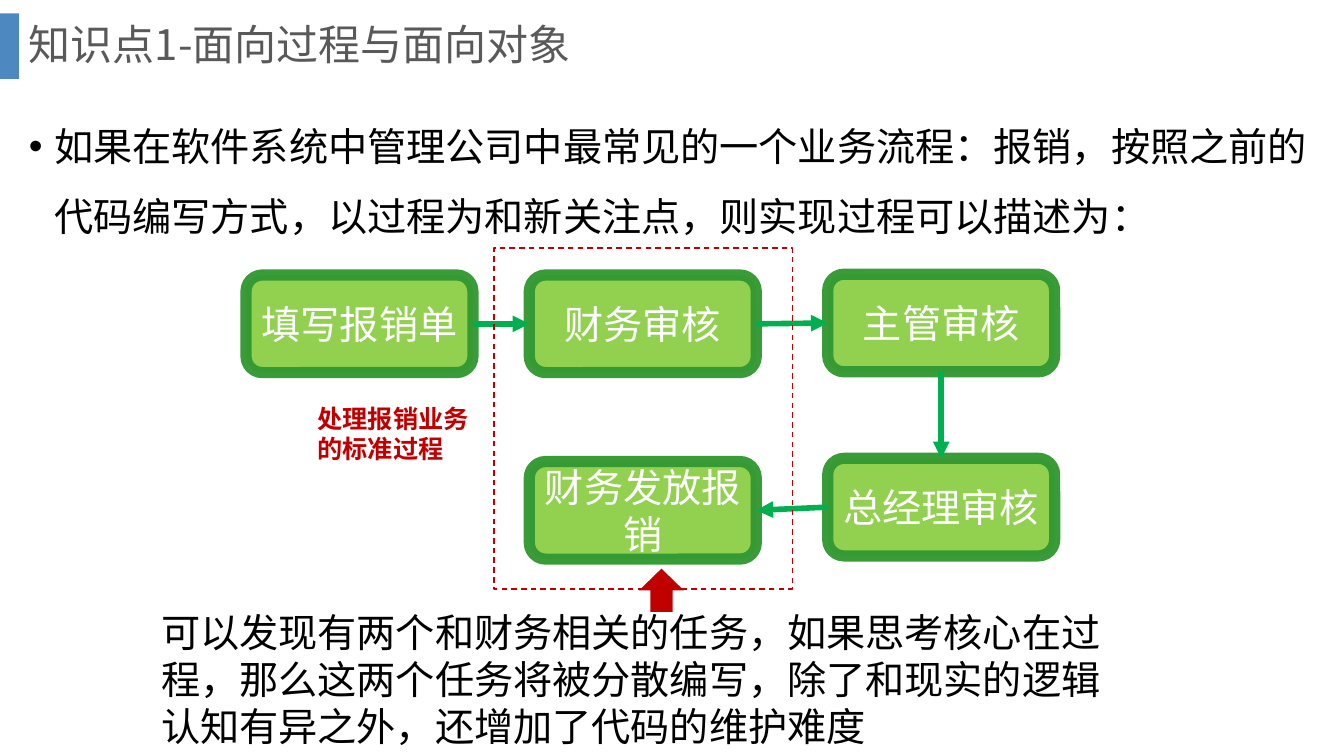
import pptx
import pptx.dml.color
import pptx.enum.dml
import pptx.enum.shapes
import pptx.enum.text
import pptx.oxml.ns
import pptx.oxml.xmlchemy
import pptx.util

Cm = pptx.util.Cm
Pt = pptx.util.Pt
SHAPES = pptx.enum.shapes.MSO_SHAPE
ALIGN = pptx.enum.text.PP_ALIGN
ANCHOR = pptx.enum.text.MSO_ANCHOR
FONT = "Noto Sans CJK SC"
COLOURS = {
    "bar": "2E75B6", "title": "595959", "body": "000000", "step": "92D050",
    "border": "339933", "step_text": "FFFFFF", "arrow": "00B050", "accent": "C00000",
}
TOP, LEFT, BOTTOM, RIGHT = range(4)


def colour(name):
    """Return the named palette colour."""
    return pptx.dml.color.RGBColor.from_string(COLOURS[name])


def add_child(parent, tag, **attributes):
    """Append a DrawingML element with the given attributes."""
    child = pptx.oxml.xmlchemy.OxmlElement(tag)
    for key, value in attributes.items():
        child.set(key, str(value))
    parent.append(child)
    return child


def set_opacity(fill, percent):
    """Make a solid fill partly transparent."""
    solid = fill._xPr.find(pptx.oxml.ns.qn("a:solidFill"))
    add_child(solid.find(pptx.oxml.ns.qn("a:srgbClr")), "a:alpha", val=percent * 1000)


def write(shape, text, size, tone, bold=False, align=ALIGN.LEFT, anchor=ANCHOR.TOP):
    """Write one styled paragraph into a shape and return it."""
    frame = shape.text_frame
    frame.word_wrap = True
    frame.vertical_anchor = anchor
    para = frame.paragraphs[0]
    para.alignment = align
    span = para.add_run()
    span.text = text
    span.font.size = Pt(size)
    span.font.name = FONT
    span.font.bold = bold
    span.font.color.rgb = colour(tone)
    add_child(span._r.get_or_add_rPr(), "a:ea", typeface=FONT)
    return para


def add_text(page, box, *args, **options):
    """Add a text box at box and return its paragraph."""
    return write(page.shapes.add_textbox(*map(Cm, box)), *args, **options)


def add_block(page, kind, box, fill=None):
    """Add a preset shape without outline, filled if a colour is named."""
    block = page.shapes.add_shape(kind, *map(Cm, box))
    block.shadow.inherit = False
    block.line.fill.background()
    if fill:
        block.fill.solid()
        block.fill.fore_color.rgb = colour(fill)
    else:
        block.fill.background()
    return block


def add_step(page, box, text):
    """Add one rounded step of the process."""
    step = add_block(page, SHAPES.ROUNDED_RECTANGLE, box, "step")
    step.line.width = Pt(8)
    step.line.color.rgb = colour("border")
    set_opacity(step.line.fill, 96)
    write(step, text, 28, "step_text", align=ALIGN.CENTER, anchor=ANCHOR.MIDDLE)
    return step


def add_arrow(page, start, start_side, end, end_side):
    """Join two steps with an arrow."""
    arrow = page.shapes.add_connector(pptx.enum.shapes.MSO_CONNECTOR.STRAIGHT, 0, 0, 0, 0)
    arrow.begin_connect(start, start_side)
    arrow.end_connect(end, end_side)
    arrow.line.width = Pt(4)
    arrow.line.color.rgb = colour("arrow")
    add_child(arrow.line._get_or_add_ln(), "a:tailEnd", type="triangle")
    add_child(arrow._element.spPr, "a:effectLst")


def add_heading(page, left, top, width, height):
    """Place the title and the bar to its left."""
    bar = add_block(page, SHAPES.RECTANGLE, (left, top + 0.34, 0.48, 1.65), "bar")
    set_opacity(bar.fill, 85)
    para = add_text(page, (left + 0.48, top, width - 0.48, height),
                    "知识点1-面向过程与面向对象", 30, "title", anchor=ANCHOR.MIDDLE)
    para.line_spacing = 0.9


def add_introduction(page, left, top, width, height):
    """Place the bulleted introduction."""
    para = add_text(page, (left, top, width, height),
                    "如果在软件系统中管理公司中最常见的一个业务流程：报销，按照之前的"
                    "代码编写方式，以过程为和新关注点，则实现过程可以描述为：", 28, "body")
    para.line_spacing = 1.5
    para.space_before = Pt(10)
    properties = para._p.get_or_add_pPr()
    properties.set("marL", str(Cm(0.64)))
    properties.set("indent", str(Cm(-0.64)))
    add_child(properties, "a:buFont", typeface="Arial")
    add_child(properties, "a:buChar", char="•")


def add_process(page, left, top, width, height):
    """Place the five steps, their arrows and the finance frame."""
    step_width, step_height = 5.72, 2.46
    middle, right = left + 7.14, left + width - step_width
    bottom = top + height - step_height
    places = [
        ("填写报销单", left, top), ("财务审核", middle, top), ("主管审核", right, top - 0.02),
        ("总经理审核", right, bottom - 0.08), ("财务发放报销", middle, bottom),
    ]
    steps = [add_step(page, (x, y, step_width, step_height), text) for text, x, y in places]
    sides = [(RIGHT, LEFT), (RIGHT, LEFT), (BOTTOM, TOP), (LEFT, RIGHT)]
    for start, end, (start_side, end_side) in zip(steps, steps[1:], sides):
        add_arrow(page, start, start_side, end, end_side)
    frame = add_block(page, SHAPES.RECTANGLE, (left + 6.25, top - 0.68, 7.52, 8.59))
    frame.line.width = Pt(1)
    frame.line.color.rgb = colour("accent")
    frame.line.dash_style = pptx.enum.dml.MSO_LINE.DASH
    add_text(page, (left + 1.55, top + 3.1, 4.45, 1.8),
             "处理报销业务的标准过程", 18, "accent", bold=True)


def add_conclusion(page, left, top, width, height):
    """Place the closing remark and the arrow above it."""
    add_text(page, (left, top, width, height),
             "可以发现有两个和财务相关的任务，如果思考核心在过程，那么这两个任务将被分散编写，"
             "除了和现实的逻辑认知有异之外，还增加了代码的维护难度", 28, "body")
    add_block(page, SHAPES.UP_ARROW, (left + 12.3, top - 0.88, 1.12, 1.09), "accent")


def main():
    """Build and save the slide."""
    deck = pptx.Presentation()
    deck.slide_width, deck.slide_height = Cm(33.87), Cm(19.05)
    page = deck.slides.add_slide(deck.slide_layouts[6])
    add_heading(page, 0, 0, 32.64, 2.36)
    add_introduction(page, 0.48, 2.36, 32.8, 4.2)
    add_process(page, 6.2, 6.93, 20.38, 7.16)
    add_conclusion(page, 3.81, 15.21, 24.82, 3.84)
    deck.save("out.pptx")


if __name__ == "__main__":
    main()
